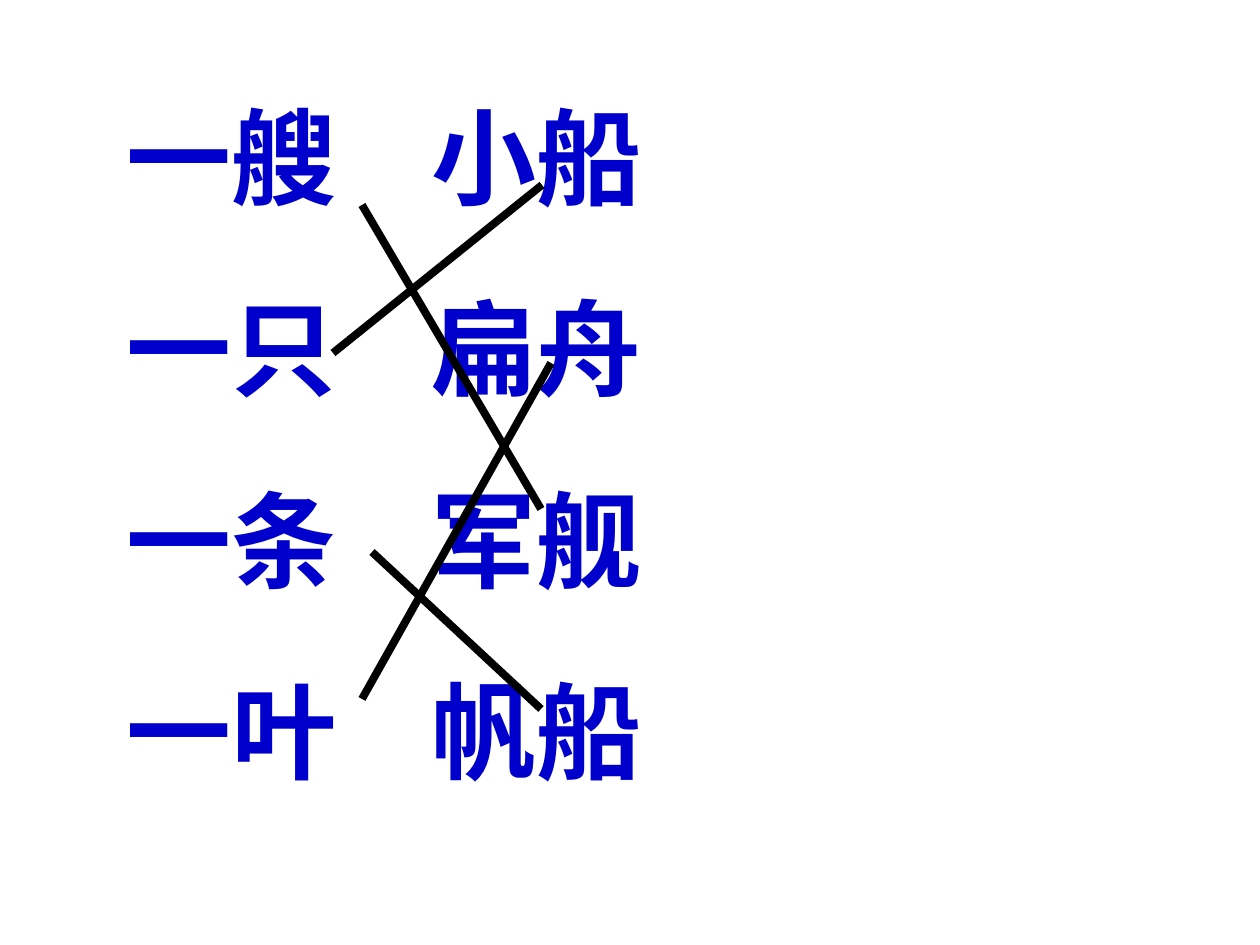
from lxml import etree
from pptx import Presentation
from pptx import util as u
from pptx.dml.color import RGBColor
from pptx.enum import shapes, text
from pptx.oxml.ns import qn

BLUE = RGBColor(0x00, 0x00, 0xCC)
BLACK = RGBColor(0x00, 0x00, 0x00)
FONT = "Noto Sans CJK SC"
EMU_PER_PX = 914400 / 126

PHRASES = [("一艘", "小船"), ("一只", "扁舟"), ("一条", "军舰"), ("一叶", "帆船")]
MATCHES = [
    (362, 205, 541, 509),
    (333, 353, 542, 185),
    (372, 552, 541, 709),
    (362, 699, 551, 363),
]


def px(n):
    return u.Emu(round(n * EMU_PER_PX))


class Board:
    def __init__(self, slide):
        self.slide = slide

    def word_columns(self, rows, left, top, width, height, column):
        sp = self.slide.shapes.add_textbox(px(left), px(top), px(width), px(height))
        tf = sp.text_frame
        tf.word_wrap = True
        tf.auto_size = text.MSO_AUTO_SIZE.NONE
        tf.margin_left = tf.margin_right = px(13)
        tf.margin_top = tf.margin_bottom = px(6)
        tf.text = "\n".join("\t".join(row) for row in rows)
        for i, p in enumerate(tf.paragraphs):
            p.line_spacing = u.Pt(72)
            if i:
                p.space_before = u.Pt(37.5)
            tabs = etree.SubElement(p._p.get_or_add_pPr(), qn("a:tabLst"))
            etree.SubElement(tabs, qn("a:tab"), pos=str(px(column)), algn="l")
            for r in p.runs:
                r.font.size = u.Pt(60)
                r.font.bold = True
                r.font.name = FONT
                r.font.color.rgb = BLUE
                etree.SubElement(r.font._element, qn("a:ea"), typeface=FONT)

    def match_line(self, x1, y1, x2, y2):
        line = self.slide.shapes.add_connector(
            shapes.MSO_CONNECTOR.STRAIGHT, px(x1), px(y1), px(x2), px(y2))
        line.line.color.rgb = BLACK
        line.line.width = u.Pt(4.5)
        etree.SubElement(line._element.spPr, qn("a:effectLst"))


def main():
    prs = Presentation()
    prs.slide_width, prs.slide_height = u.Inches(10), u.Inches(7.5)
    board = Board(prs.slides.add_slide(prs.slide_layouts[6]))
    board.word_columns(PHRASES, 114, 86, 683, 714, 305)
    for match in MATCHES:
        board.match_line(*match)
    prs.save("out.pptx")


if __name__ == "__main__":
    main()
